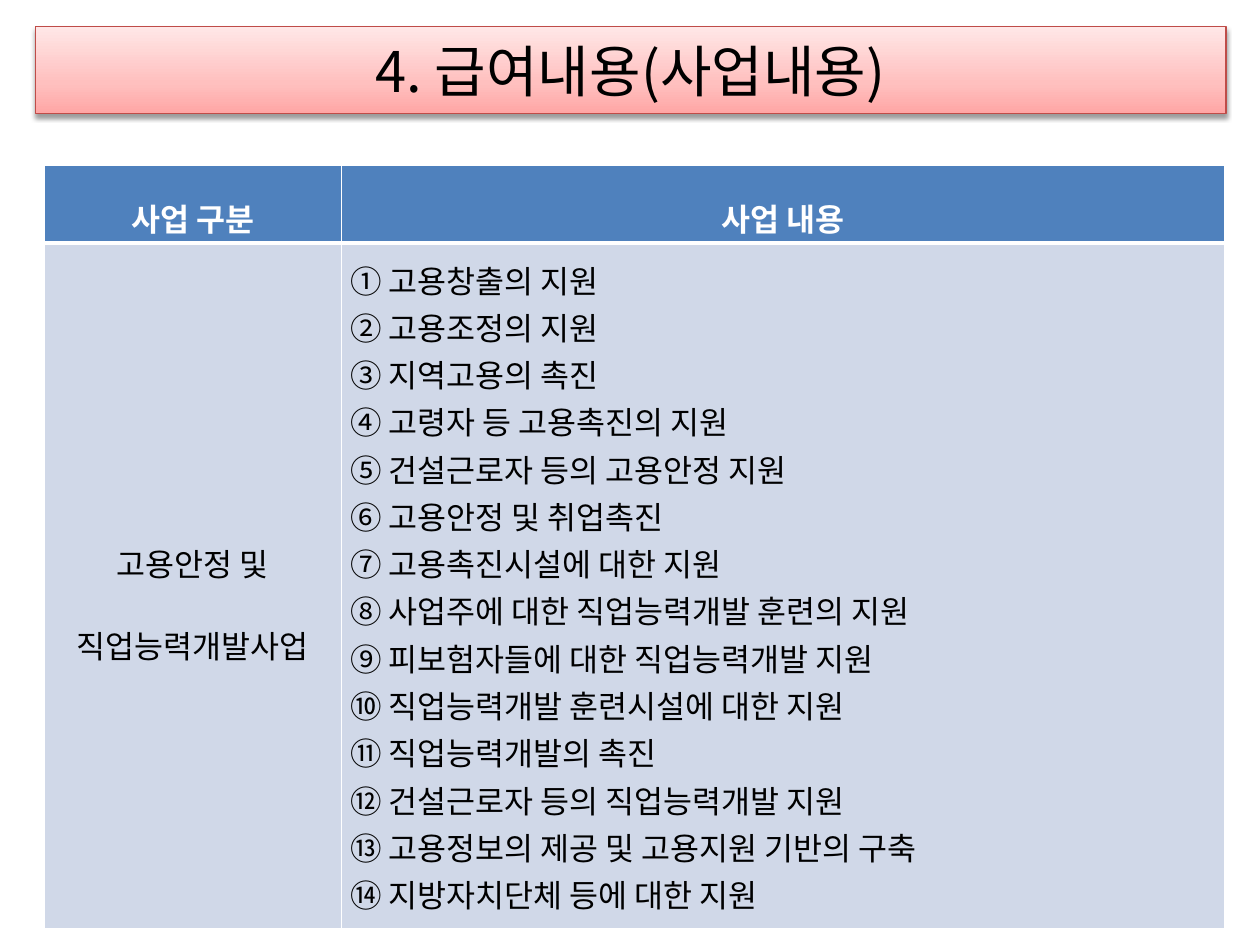
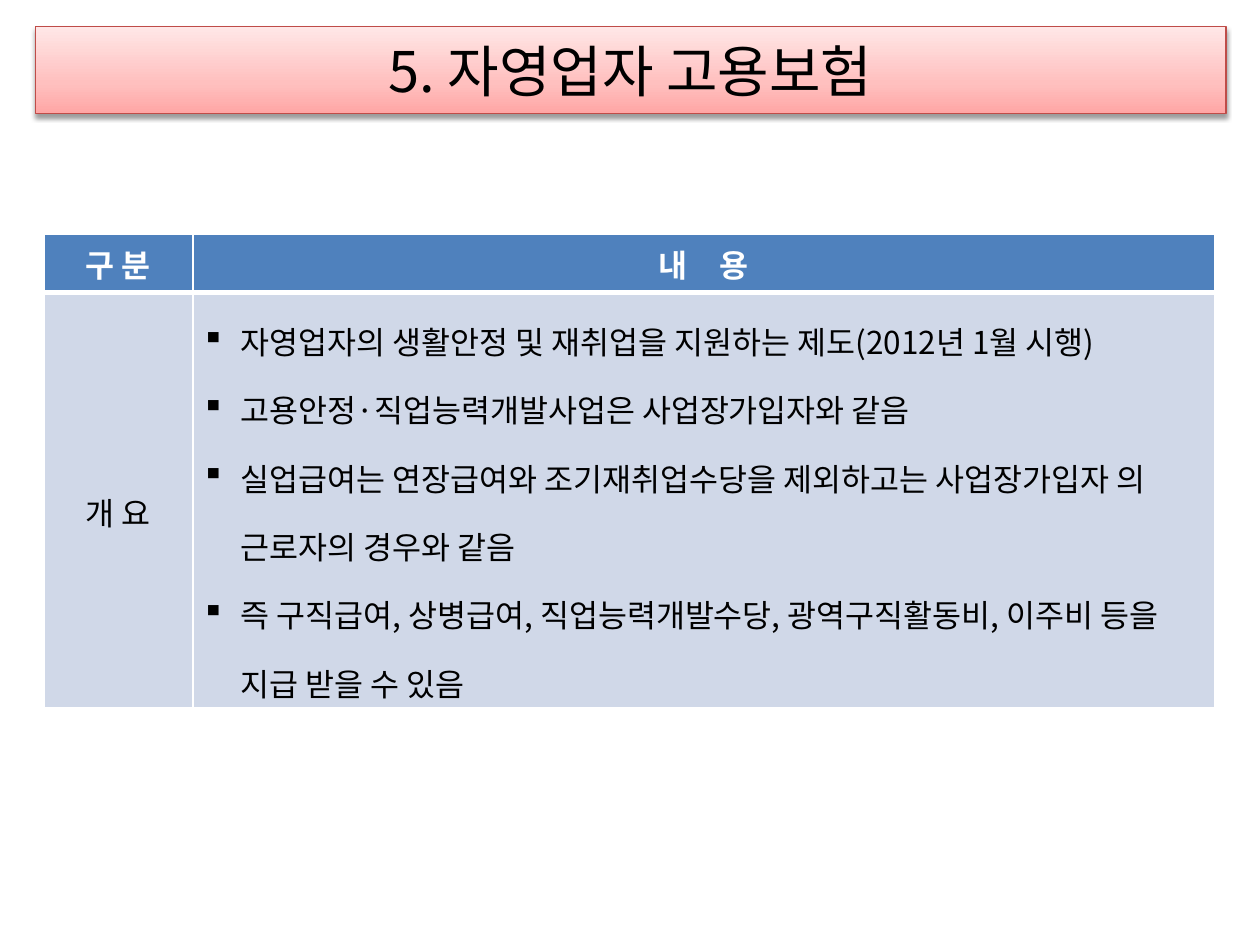
from dataclasses import dataclass

from lxml.etree import SubElement
from pptx import Presentation
from pptx.dml.color import RGBColor
from pptx.enum.text import MSO_ANCHOR as Anchor, MSO_AUTO_SIZE as AutoSize, PP_ALIGN as Align
from pptx.oxml import parse_xml
from pptx.oxml.ns import nsdecls, qn
from pptx.util import Inches, Length, Pt

# Shared style
FONT = "Noto Sans CJK KR"
BLACK = RGBColor(0x00, 0x00, 0x00)
WHITE = RGBColor(0xFF, 0xFF, 0xFF)
HEADER_BLUE = RGBColor(0x4F, 0x81, 0xBD)
BODY_BLUE = RGBColor(0xD0, 0xD8, 0xE8)
BAND_LINE = RGBColor(0xBF, 0x4C, 0x48)
BAND_STOPS = (
    (0, RGBColor(0xFF, 0xA6, 0xA5)),
    (35, RGBColor(0xFF, 0xC0, 0xBF)),
    (100, RGBColor(0xFF, 0xE7, 0xE7)),
)
TIGHT_MARGINS = (Inches(0.07), Inches(0.02))
BULLET_INDENT = Inches(0.31)


@dataclass(frozen=True)
class CellText:
    lines: tuple[str, ...]
    align: Align = Align.CENTER
    spacing: float | Length | None = None
    bullet: str = ""
    tight: bool = True


@dataclass(frozen=True)
class TopicSlide:
    title: str
    top: float
    left_width: float
    right_width: float
    row_heights: tuple[float, float]
    header: tuple[CellText, CellText]
    body: tuple[CellText, CellText]


def set_font(paragraph, size: int, color: RGBColor, bold: bool = False) -> None:
    font = paragraph.font
    font.name, font.size, font.bold = FONT, Pt(size), bold
    font.color.rgb = color
    east_asian = SubElement(paragraph._p.pPr.find(qn("a:defRPr")), qn("a:ea"))
    east_asian.set("typeface", FONT)


def add_title_band(slide, text: str) -> None:
    band = slide.shapes.title
    band.left, band.top = Inches(0.28), Inches(0.21)
    band.width, band.height = Inches(9.45), Inches(0.69)
    stops = "".join(
        f'<a:gs pos="{pos * 1000}"><a:srgbClr val="{color}"/></a:gs>' for pos, color in BAND_STOPS
    )
    properties = band._element.spPr
    properties.append(parse_xml(
        f'<a:gradFill {nsdecls("a")} rotWithShape="1"><a:gsLst>{stops}</a:gsLst>'
        '<a:lin ang="16200000" scaled="0"/></a:gradFill>'
    ))
    band.line.color.rgb = BAND_LINE
    band.line.width = Pt(0.75)
    properties.append(parse_xml(
        f'<a:effectLst {nsdecls("a")}><a:outerShdw blurRad="{Pt(3.1)}" dist="{Pt(1.6)}" '
        'dir="5400000" rotWithShape="0"><a:srgbClr val="000000"><a:alpha val="38000"/>'
        '</a:srgbClr></a:outerShdw></a:effectLst>'
    ))
    frame = band.text_frame
    frame.text = text
    frame.auto_size = AutoSize.NONE
    frame.vertical_anchor = Anchor.MIDDLE
    heading = frame.paragraphs[0]
    heading.alignment = Align.CENTER
    set_font(heading, 32, BLACK)


def set_borders(cell, bottom_width: int) -> None:
    borders = cell._tc.get_or_add_tcPr()
    for position, side in enumerate(("lnL", "lnR", "lnT", "lnB")):
        width = bottom_width if side == "lnB" else 1
        borders.insert(position, parse_xml(
            f'<a:{side} {nsdecls("a")} w="{Pt(width)}"><a:solidFill>'
            f'<a:srgbClr val="{WHITE}"/></a:solidFill></a:{side}>'
        ))


def fill_cell(cell, content: CellText, is_header: bool) -> None:
    cell.fill.solid()
    cell.fill.fore_color.rgb = HEADER_BLUE if is_header else BODY_BLUE
    set_borders(cell, 3 if is_header else 1)
    if content.tight:
        cell.vertical_anchor = Anchor.MIDDLE
        cell.margin_left = cell.margin_right = TIGHT_MARGINS[0]
        cell.margin_top = cell.margin_bottom = TIGHT_MARGINS[1]
    cell.text = "\n".join(content.lines)
    for paragraph in cell.text_frame.paragraphs:
        paragraph.alignment = content.align
        paragraph.line_spacing = content.spacing
        if content.bullet:
            layout = paragraph._p.get_or_add_pPr()
            layout.set("marL", str(BULLET_INDENT))
            layout.set("indent", str(-BULLET_INDENT))
            SubElement(layout, qn("a:buChar")).set("char", content.bullet)
        set_font(paragraph, 18, WHITE if is_header else BLACK, bold=is_header)


def add_topic_table(slide, topic: TopicSlide) -> None:
    widths = (topic.left_width, topic.right_width)
    table = slide.shapes.add_table(
        2, 2, Inches(0.35), Inches(topic.top),
        Inches(sum(widths)), Inches(sum(topic.row_heights)),
    ).table
    for column, width in zip(table.columns, widths):
        column.width = Inches(width)
    for row, height, contents in zip(table.rows, topic.row_heights, (topic.header, topic.body)):
        row.height = Inches(height)
        for cell, content in zip(row.cells, contents):
            fill_cell(cell, content, is_header=contents is topic.header)


# Slide contents
BENEFITS = TopicSlide(
    title="4. 급여내용(사업내용)",
    top=1.31, left_width=2.36, right_width=7.01, row_heights=(0.44, 5.44),
    header=(CellText(("사업 구분",), spacing=1.6), CellText(("사업 내용",), spacing=1.6)),
    body=(
        CellText(("고용안정 및", "직업능력개발사업"), spacing=1.8),
        CellText((
            "① 고용창출의 지원",
            "② 고용조정의 지원",
            "③ 지역고용의 촉진",
            "④ 고령자 등 고용촉진의 지원",
            "⑤ 건설근로자 등의 고용안정 지원",
            "⑥ 고용안정 및 취업촉진",
            "⑦ 고용촉진시설에 대한 지원",
            "⑧ 사업주에 대한 직업능력개발 훈련의 지원",
            "⑨ 피보험자들에 대한 직업능력개발 지원",
            "⑩ 직업능력개발 훈련시설에 대한 지원",
            "⑪ 직업능력개발의 촉진",
            "⑫ 건설근로자 등의 직업능력개발 지원",
            "⑬ 고용정보의 제공 및 고용지원 기반의 구축",
            "⑭ 지방자치단체 등에 대한 지원",
        ), align=Align.JUSTIFY, spacing=Pt(27)),
    ),
)
SELF_EMPLOYED = TopicSlide(
    title="5. 자영업자 고용보험",
    top=1.86, left_width=1.18, right_width=8.11, row_heights=(0.42, 0.42),
    header=(CellText(("구 분",), tight=False), CellText(("내　용",), tight=False)),
    body=(
        CellText(("개 요",), spacing=1.5),
        CellText((
            "자영업자의 생활안정 및 재취업을 지원하는 제도(2012년 1월 시행)",
            "고용안정·직업능력개발사업은 사업장가입자와 같음",
            "실업급여는 연장급여와 조기재취업수당을 제외하고는 사업장가입자 의 근로자의 경우와 같음",
            "즉 구직급여, 상병급여, 직업능력개발수당, 광역구직활동비, 이주비 등을 지급 받을 수 있음",
        ), align=Align.LEFT, spacing=1.5, bullet="▪"),
    ),
)


def main() -> None:
    deck = Presentation()
    deck.slide_width, deck.slide_height = Inches(10), Inches(7.5)
    title_only = deck.slide_layouts[5]
    for topic in (BENEFITS, SELF_EMPLOYED):
        slide = deck.slides.add_slide(title_only)
        add_title_band(slide, topic.title)
        add_topic_table(slide, topic)
    deck.save("out.pptx")


if __name__ == "__main__":
    main()
